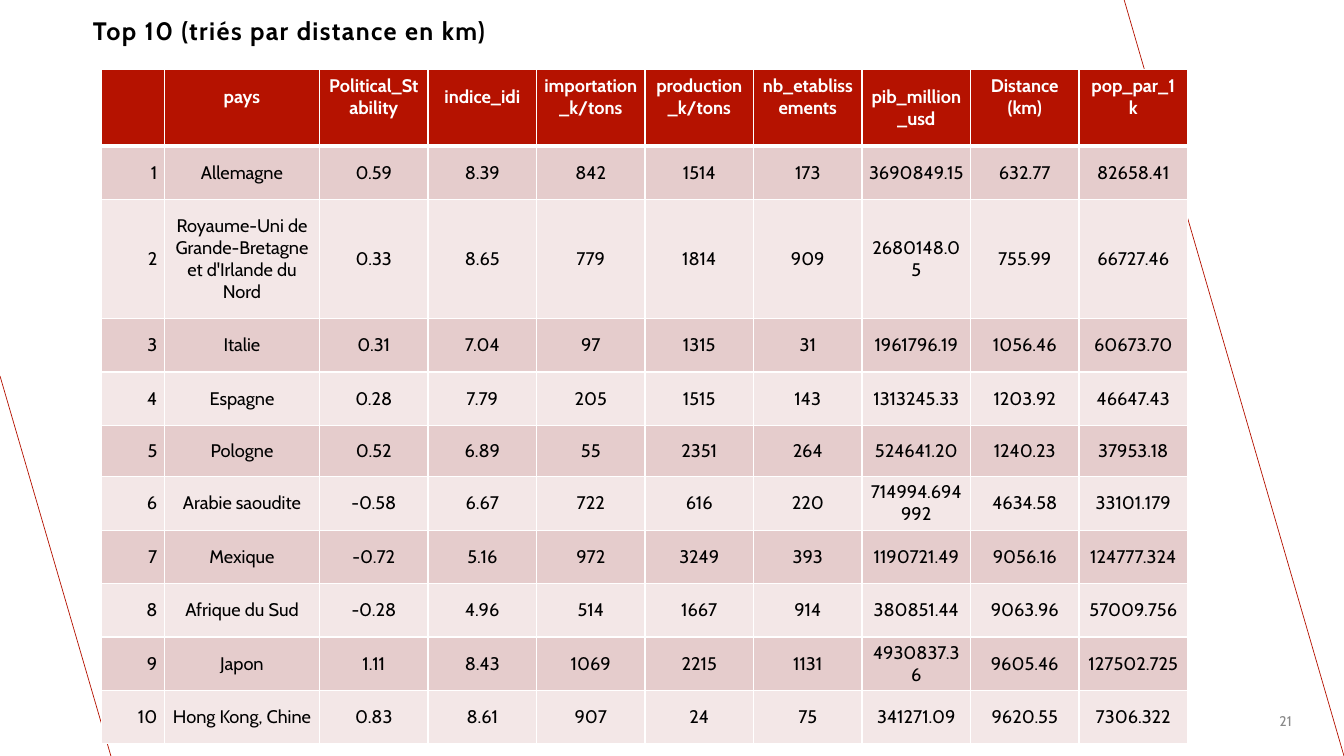
from lxml import etree
from pptx import Presentation, util as u
from pptx.dml.color import RGBColor
from pptx.enum import shapes, text
from pptx.oxml import ns

FONT = "Cabin"
COLORS = {"red": "B51200", "white": "FFFFFF", "black": "000000",
          "grey": "898989", "odd": "E5CCCC", "even": "F3E7E7"}
HEADERS = ["", "pays", "Political_Stability", "indice_idi", "importation_k/tons",
           "production_k/tons", "nb_etablissements", "pib_million_usd",
           "Distance (km)", "pop_par_1k"]
COUNTRIES = [
    ["Allemagne", "0.59", "8.39", "842", "1514", "173", "3690849.15", "632.77", "82658.41"],
    ["Royaume-Uni de Grande-Bretagne et d'Irlande du Nord", "0.33", "8.65", "779", "1814",
     "909", "2680148.05", "755.99", "66727.46"],
    ["Italie", "0.31", "7.04", "97", "1315", "31", "1961796.19", "1056.46", "60673.70"],
    ["Espagne", "0.28", "7.79", "205", "1515", "143", "1313245.33", "1203.92", "46647.43"],
    ["Pologne", "0.52", "6.89", "55", "2351", "264", "524641.20", "1240.23", "37953.18"],
    ["Arabie saoudite", "-0.58", "6.67", "722", "616", "220", "714994.694992", "4634.58",
     "33101.179"],
    ["Mexique", "-0.72", "5.16", "972", "3249", "393", "1190721.49", "9056.16", "124777.324"],
    ["Afrique du Sud", "-0.28", "4.96", "514", "1667", "914", "380851.44", "9063.96",
     "57009.756"],
    ["Japon", "1.11", "8.43", "1069", "2215", "1131", "4930837.36", "9605.46", "127502.725"],
    ["Hong Kong, Chine", "0.83", "8.61", "907", "24", "75", "341271.09", "9620.55", "7306.322"],
]
ROW_HEIGHTS = [0.76, 0.53, 1.18, 0.53, 0.53, 0.51] + [0.53] * 5


def rgb(name):
    return RGBColor.from_string(COLORS[name])


def style_font(font, size, color, bold=False):
    font.name, font.size, font.bold = FONT, u.Pt(size), bold
    font.color.rgb = rgb(color)


def add_slanted_line(slide, x1, y1, x2, y2):
    line = slide.shapes.add_connector(shapes.MSO_CONNECTOR.STRAIGHT,
                                      *(u.Inches(v) for v in (x1, y1, x2, y2)))
    line.line.color.rgb = rgb("red")
    line.line.width = u.Pt(0.5)
    etree.SubElement(line._element.spPr, ns.qn("a:effectLst"))


def add_title(slide, left, top, width, height):
    sp = slide.shapes.title
    sp.left, sp.top, sp.width, sp.height = (u.Inches(v) for v in (left, top, width, height))
    tf = sp.text_frame
    tf.text = "Top 10 (triés par distance en km)"
    tf.auto_size = text.MSO_AUTO_SIZE.NONE
    tf.vertical_anchor = text.MSO_ANCHOR.TOP
    p = tf.paragraphs[0]
    p.alignment, p.line_spacing = text.PP_ALIGN.LEFT, 0.9
    r = p.runs[0]
    style_font(r.font, 18, "black", True)
    r._r.get_or_add_rPr().set("spc", "100")


def add_page_number(slide, left, top, width, height):
    sp = slide.shapes.add_textbox(*(u.Inches(v) for v in (left, top, width, height)))
    tf = sp.text_frame
    tf.word_wrap, tf.vertical_anchor = True, text.MSO_ANCHOR.MIDDLE
    tf.text = "21"
    p = tf.paragraphs[0]
    p.alignment = text.PP_ALIGN.RIGHT
    style_font(p.runs[0].font, 10, "grey")


def set_borders(cell, row):
    """White rules, thicker between the header and the first country."""
    tcPr = cell._tc.get_or_add_tcPr()
    thick = {0: "lnB", 1: "lnT"}.get(row)
    for side in ("lnL", "lnR", "lnT", "lnB"):
        ln = etree.SubElement(tcPr, ns.qn("a:" + side),
                              w=str(u.Pt(3 if side == thick else 1)))
        fill = etree.SubElement(ln, ns.qn("a:solidFill"))
        etree.SubElement(fill, ns.qn("a:srgbClr"), val=COLORS["white"])


def fill_cell(cell, value, row, col):
    header = row == 0
    set_borders(cell, row)
    cell.fill.solid()
    cell.fill.fore_color.rgb = rgb("red" if header else "odd" if row % 2 else "even")
    cell.margin_left = cell.margin_right = u.Inches(0.07)
    cell.margin_top = cell.margin_bottom = u.Inches(0.04)
    cell.vertical_anchor = text.MSO_ANCHOR.MIDDLE
    if header and HEADERS[col] == "pop_par_1k":
        cell.vertical_anchor = text.MSO_ANCHOR.TOP
        cell.margin_left = cell.margin_right = u.Inches(0.11)
        cell.margin_top = cell.margin_bottom = u.Inches(0.05)
    elif header and HEADERS[col] != "pib_million_usd":
        cell.margin_bottom = u.Inches(0.26)
    cell.text = value
    p = cell.text_frame.paragraphs[0]
    p.alignment = text.PP_ALIGN.CENTER if header or col else text.PP_ALIGN.RIGHT
    style_font(p.font, 13, "white" if header else "black", header)
    for r in p.runs:
        style_font(r.font, 13, "white" if header else "black", header)


def add_country_table(slide, left, top, width):
    rows = [HEADERS] + [[str(i), *country] for i, country in enumerate(COUNTRIES, 1)]
    frame = slide.shapes.add_table(len(rows), len(HEADERS), u.Inches(left), u.Inches(top),
                                   u.Inches(width), u.Inches(sum(ROW_HEIGHTS)))
    table = frame.table
    first_widths = [0.62, 1.54]
    other_count = len(HEADERS) - len(first_widths)
    widths = first_widths + [(width - sum(first_widths)) / other_count] * other_count
    for column, w in zip(table.columns, widths):
        column.width = u.Inches(w)
    for i, (values, height) in enumerate(zip(rows, ROW_HEIGHTS)):
        table.rows[i].height = u.Inches(height)
        for j, value in enumerate(values):
            fill_cell(table.cell(i, j), value, i, j)


def main():
    prs = Presentation()
    prs.slide_width, prs.slide_height = u.Inches(13.33), u.Inches(7.5)
    slide = prs.slides.add_slide(prs.slide_layouts[5])
    add_slanted_line(slide, 13.33, 7.5, 11.15, 0)
    add_slanted_line(slide, 1.1, 7.5, 0, 3.73)
    add_page_number(slide, 11.23, 6.95, 1.68, 0.4)
    add_country_table(slide, 1.01, 0.69, 10.77)
    add_title(slide, 0.82, 0.14, 10.88, 0.4)
    prs.save("out.pptx")


if __name__ == "__main__":
    main()
